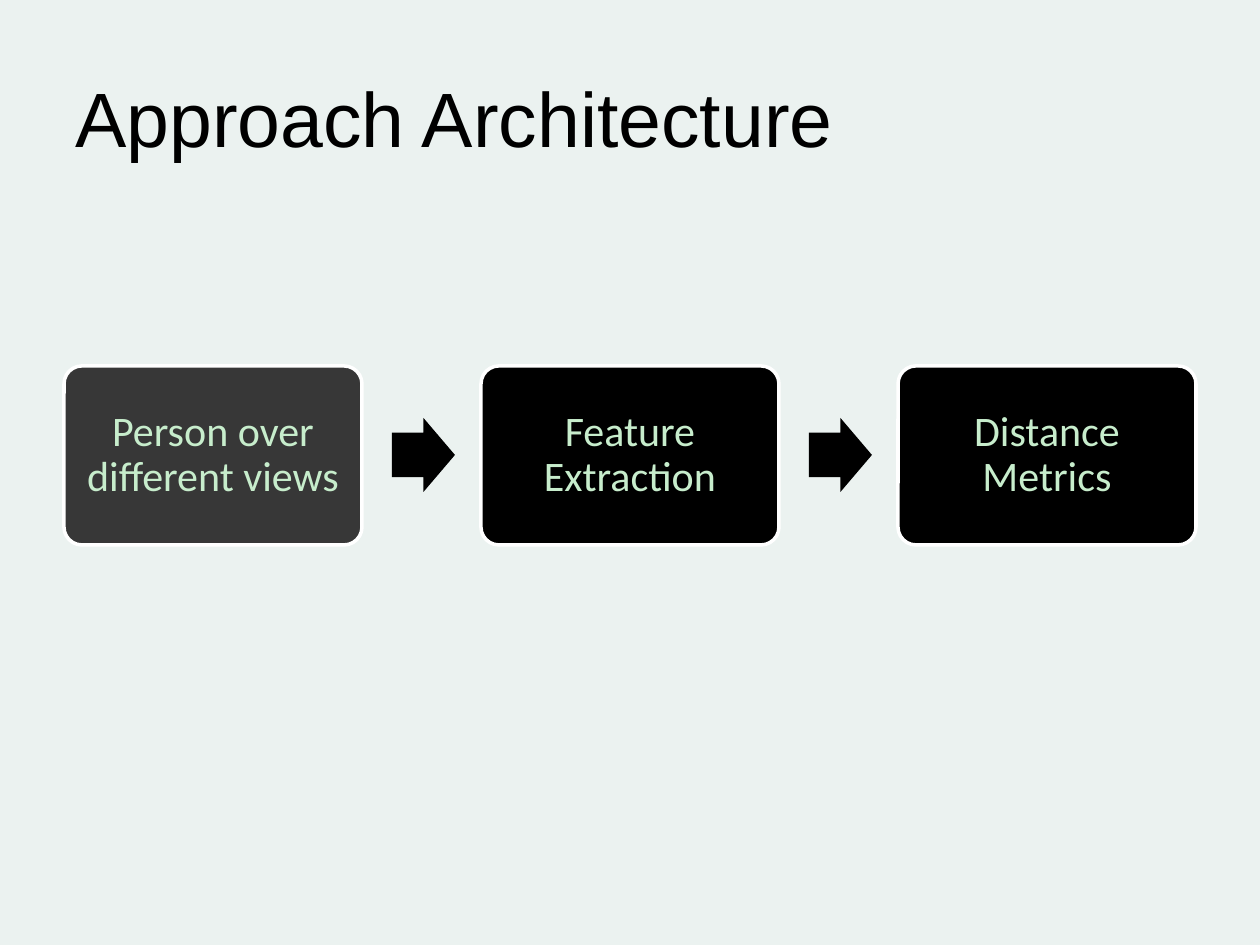
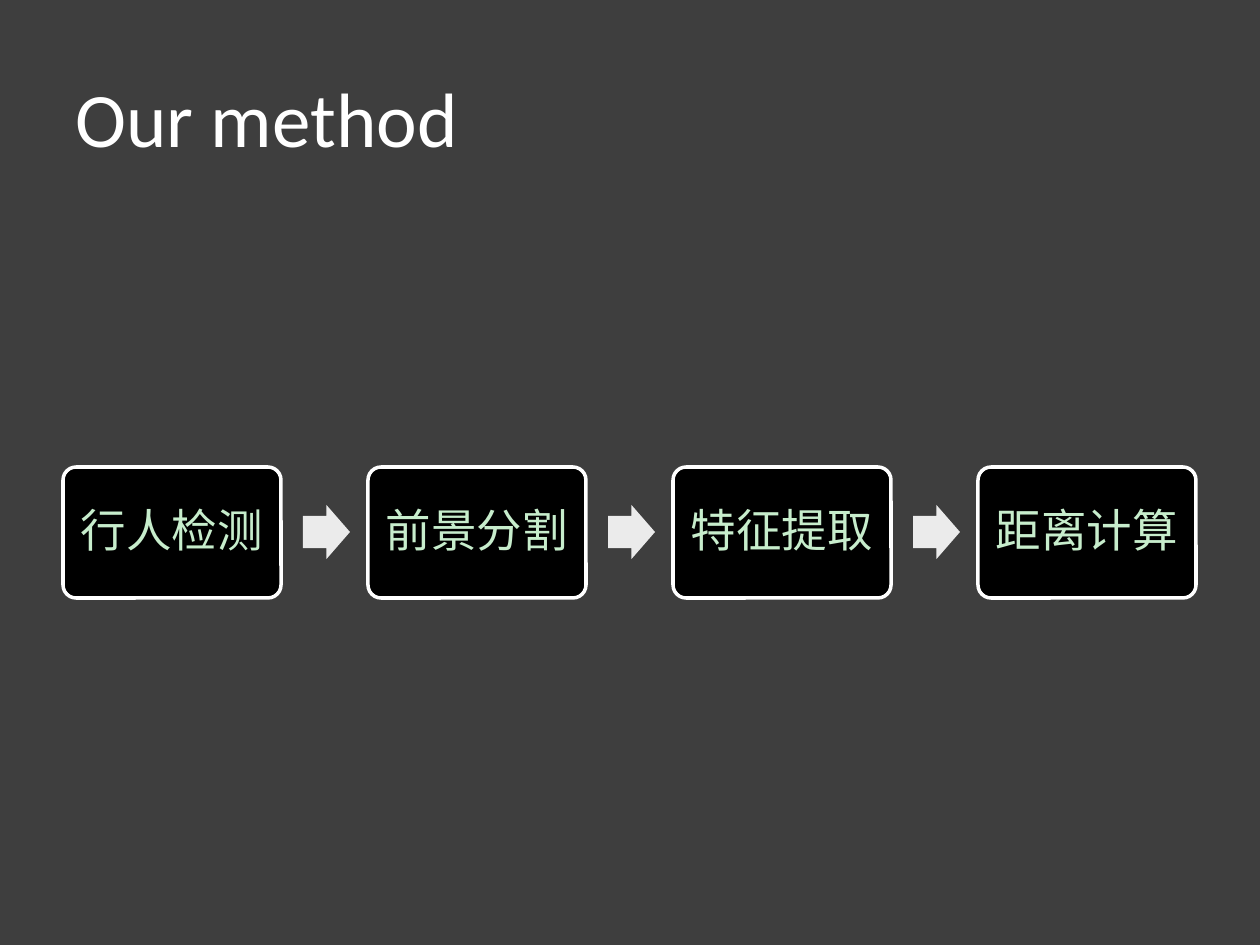
from pptx import Presentation
from pptx.dml.color import RGBColor
from pptx.enum.shapes import MSO_SHAPE as Shape
from pptx.enum.text import MSO_ANCHOR as Anchor, PP_ALIGN as Align
from pptx.util import Emu, Pt

EMU_PER_PX = 914400 / 126
SLIDE_SIZE = (1260, 945)
TITLE_BOX = (63, 38, 1134, 157)
COLORS = {
    "pale": "EBF2F0",
    "slate": "3E3E3E",
    "charcoal": "373737",
    "black": "000000",
    "white": "FFFFFF",
    "mint": "C7EDCC",
    "light_gray": "EBEBEB",
}
TITLE_FRAME = {"word_wrap": True, "vertical_anchor": Anchor.MIDDLE}


def px(length):
    """Turn pixels into EMU."""
    return Emu(round(length * EMU_PER_PX))


def rgb(name):
    """Look up a named colour."""
    return RGBColor.from_string(COLORS[name])


STEP_FRAME = TITLE_FRAME | {
    f"margin_{side}": px(12) for side in ("left", "top", "right", "bottom")
}


def apply_format(target, values):
    """Set each value in the dict as an attribute of the target."""
    for name, value in values.items():
        setattr(target, name, value)


def write_text(shape, text, color, frame_format, paragraph_format, font_format):
    """Write one formatted paragraph into a shape."""
    frame = shape.text_frame
    apply_format(frame, frame_format)
    paragraph = frame.paragraphs[0]
    apply_format(paragraph, paragraph_format)
    run = paragraph.add_run()
    run.text = text
    apply_format(run.font, font_format)
    run.font.color.rgb = rgb(color)


def add_slide(presentation, background, title, color, font):
    """Add a slide with a plain background and a title."""
    slide = presentation.slides.add_slide(presentation.slide_layouts[6])
    fill = slide.background.fill
    fill.solid()
    fill.fore_color.rgb = rgb(background)
    text_box = slide.shapes.add_textbox(*map(px, TITLE_BOX))
    write_text(text_box, title, color, TITLE_FRAME, {"alignment": Align.LEFT},
               {"name": font, "size": Pt(44)})
    return slide


def add_filled_shape(slide, kind, box, color, adjustments):
    """Add a flat preset shape without outline."""
    shape = slide.shapes.add_shape(kind, *map(px, box))
    shape.shadow.inherit = False
    shape.fill.solid()
    shape.fill.fore_color.rgb = rgb(color)
    shape.line.fill.background()
    for index, value in enumerate(adjustments):
        shape.adjustments[index] = value
    return shape


def add_step(slide, box, text, fill, size):
    """Add a rounded, outlined process step."""
    shape = add_filled_shape(slide, Shape.ROUNDED_RECTANGLE, box, fill, [0.1])
    shape.line.color.rgb = rgb("white")
    shape.line.width = Pt(2)
    write_text(shape, text, "mint", STEP_FRAME,
               {"alignment": Align.CENTER, "line_spacing": 0.9},
               {"name": "Calibri", "size": Pt(size)})


def add_process(slide, steps, first_box, pitch, arrow, arrow_color, size):
    """Add equally spaced steps with a block arrow in each gap."""
    left, top, width, height = first_box
    arrow_offset, arrow_width, arrow_height = arrow
    arrow_top = top + (height - arrow_height) // 2
    for index, (text, fill) in enumerate(steps):
        step_left = left + index * pitch
        add_step(slide, (step_left, top, width, height), text, fill, size)
        if index < len(steps) - 1:
            arrow_box = (step_left + arrow_offset, arrow_top, arrow_width, arrow_height)
            add_filled_shape(slide, Shape.RIGHT_ARROW, arrow_box, arrow_color, [0.6, 0.5])


def main():
    """Build both process slides and save them."""
    presentation = Presentation()
    presentation.slide_width, presentation.slide_height = map(px, SLIDE_SIZE)

    architecture = add_slide(presentation, "pale", "Approach Architecture", "black", "Arial")
    stages = [("Person over different views", "charcoal"),
              ("Feature Extraction", "black"), ("Distance Metrics", "black")]
    add_process(architecture, stages, (64, 366, 298, 179), 417, (328, 63, 74), "black", 24)

    method = add_slide(presentation, "slate", "Our method", "white", "Calibri")
    stages = [(name, "black") for name in ("行人检测", "前景分割", "特征提取", "距离计算")]
    add_process(method, stages, (63, 467, 218, 131), 305, (240, 47, 54), "light_gray", 26)

    presentation.save("out.pptx")


if __name__ == "__main__":
    main()
